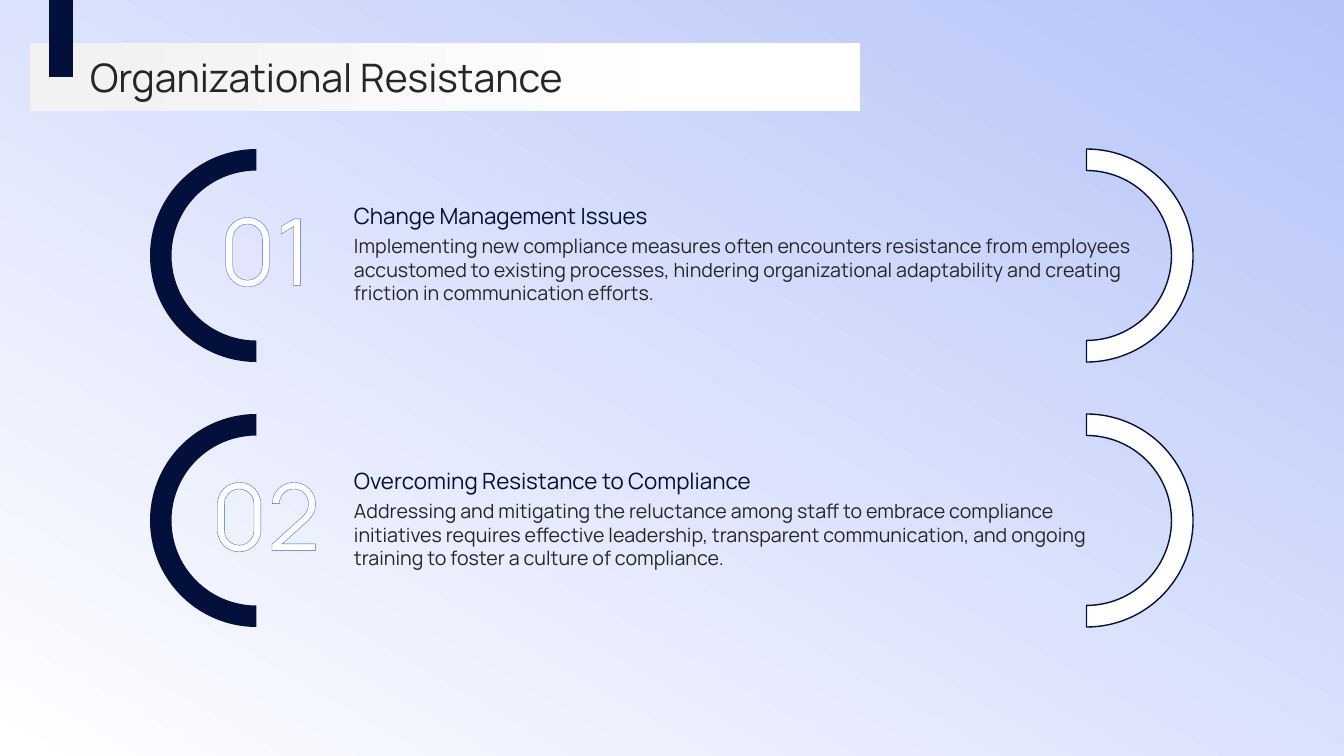
import pptx
import pptx.util
import pptx.oxml
import pptx.oxml.ns
import pptx.dml.color
import pptx.enum.shapes
import pptx.enum.text
import lxml.etree

RGB = pptx.dml.color.RGBColor
SHAPE = pptx.enum.shapes.MSO_SHAPE
ANCHOR = pptx.enum.text.MSO_ANCHOR
ALIGN = pptx.enum.text.PP_ALIGN

PX = 914400 / 100.8
FONT = "Manrope"
NAVY = RGB(0x03, 0x10, 0x3B)
BLUE = RGB(0x38, 0x60, 0xF4)
PERIWINKLE = RGB(0xB6, 0xC4, 0xF8)
WHITE = RGB(0xFF, 0xFF, 0xFF)
PALE = RGB(0xF2, 0xF2, 0xF2)
INK = RGB(0x26, 0x26, 0x26)

ITEMS = [
    ("01", "Change Management Issues",
     "Implementing new compliance measures often encounters resistance from employees "
     "accustomed to existing processes, hindering organizational adaptability and creating "
     "friction in communication efforts."),
    ("02", "Overcoming Resistance to Compliance",
     "Addressing and mitigating the reluctance among staff to embrace compliance "
     "initiatives requires effective leadership, transparent communication, and ongoing "
     "training to foster a culture of compliance."),
]


def emu(*lengths):
    """Turn px lengths into EMU."""
    return [pptx.util.Emu(round(n * PX)) for n in lengths]


def add_shape(slide, kind, x, y, w, h, color=None):
    """Add a shadowless, lineless shape, solid if a colour is given."""
    sp = slide.shapes.add_shape(kind, *emu(x, y, w, h))
    sp.shadow.inherit = False
    sp.line.fill.background()
    if color is not None:
        sp.fill.solid()
        sp.fill.fore_color.rgb = color
    return sp


def set_gradient(sp, angle, *stops):
    """Fill a shape with a linear gradient of (position, colour) stops."""
    sp.fill.gradient()
    sp.fill.gradient_angle = angle
    for stop, (position, color) in zip(sp.fill.gradient_stops, stops):
        stop.position = position
        stop.color.rgb = color


def write(sp, text, size, color, anchor=ANCHOR.TOP, align=ALIGN.LEFT):
    """Write one run into a shape without margins and return the run."""
    tf = sp.text_frame
    tf.word_wrap = True
    tf.auto_size = pptx.enum.text.MSO_AUTO_SIZE.NONE
    tf.vertical_anchor = anchor
    tf.margin_left = tf.margin_top = tf.margin_right = tf.margin_bottom = 0
    p = tf.paragraphs[0]
    p.alignment = align
    r = p.add_run()
    r.text = text
    r.font.name = FONT
    r.font.size = pptx.util.Pt(size)
    r.font.color.rgb = color
    return r


def add_text(slide, x, y, w, h, *args, **kwargs):
    """Add a text box with one run and return the run."""
    return write(slide.shapes.add_textbox(*emu(x, y, w, h)), *args, **kwargs)


def outline(r, color, width):
    """Draw an outline around the letters of a run."""
    rPr = r.font._element
    ln = pptx.oxml.parse_xml(
        f'<a:ln {pptx.oxml.ns.nsdecls("a")} w="{pptx.util.Pt(width)}"><a:solidFill>'
        f'<a:srgbClr val="{color}"/></a:solidFill></a:ln>')
    rPr.insert(0, ln)


def add_arc(slide, x, y, size, rotation, color):
    """Add a half ring turned to one side."""
    sp = add_shape(slide, SHAPE.BLOCK_ARC, x, y, size, size, color)
    sp.rotation = rotation
    for i, value in enumerate((108, 0, 0.101)):
        sp.adjustments[i] = value
    return sp


def add_item(slide, x, y, w, h, number, heading, body):
    """Place a numbered item between two half rings."""
    add_arc(slide, x, y, h, 270, NAVY)
    r = add_text(slide, x + 56, y + 52, 119, 95, number, 66, WHITE,
                 ANCHOR.MIDDLE, ALIGN.CENTER)
    outline(r, BLUE, 1.25)
    add_text(slide, x + 204, y + 85, 778, 109, body, 14, INK)
    right = add_arc(slide, x + w - h, y, h, 90, WHITE)
    right.line.color.rgb = NAVY
    right.line.width = pptx.util.Pt(1)
    add_text(slide, x + 204, y + 40, 778, 40, heading, 16, NAVY, ANCHOR.BOTTOM)


def add_header(slide, x, y, w, h, text):
    """Place the title on its panel with the marker hanging from the top edge."""
    panel = add_shape(slide, SHAPE.RECTANGLE, x, y, w, h)
    set_gradient(panel, 0, (0.05, PALE), (0.84, WHITE))
    add_shape(slide, SHAPE.RECTANGLE, x + 19, 0, 24, y + 34, NAVY)
    title = slide.shapes.title
    title.left, title.top, title.width, title.height = emu(x + 60, y + 8, 1179, 51)
    write(title, text, 28, INK, ANCHOR.MIDDLE)
    slide.shapes._spTree.append(title._element)


def main():
    """Build the slide and save it."""
    prs = pptx.Presentation()
    prs.slide_width, prs.slide_height = emu(1344, 756)
    slide = prs.slides.add_slide(prs.slide_layouts[5])
    backdrop = add_shape(slide, SHAPE.RECTANGLE, 0, 0, 1344, 756)
    set_gradient(backdrop, 240, (0, PERIWINKLE), (1, WHITE))
    for i, item in enumerate(ITEMS):
        add_item(slide, 150, 149 + 265 * i, 1043, 213, *item)
    add_header(slide, 30, 43, 830, 68, "Organizational Resistance")
    prs.save("out.pptx")


if __name__ == "__main__":
    main()
